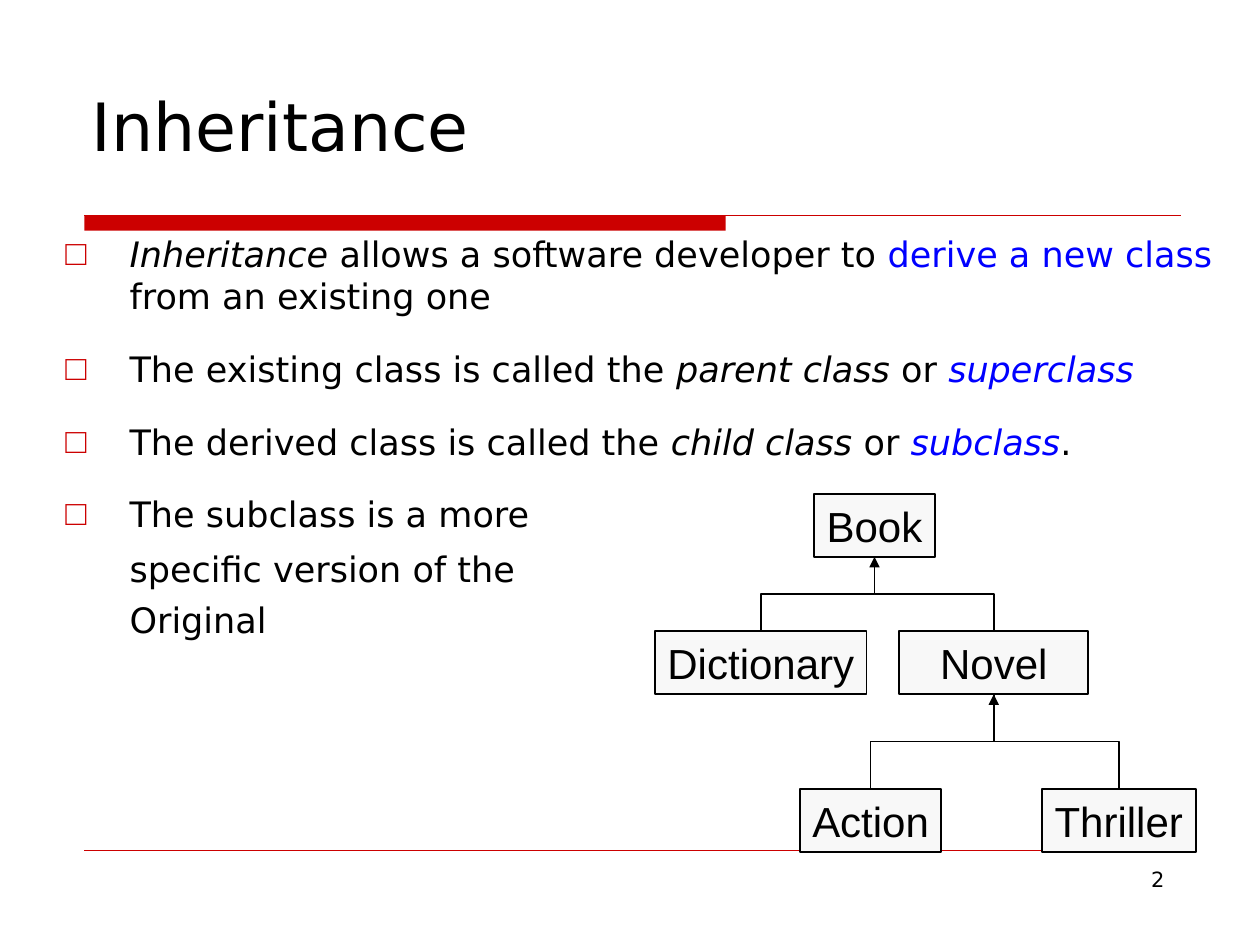
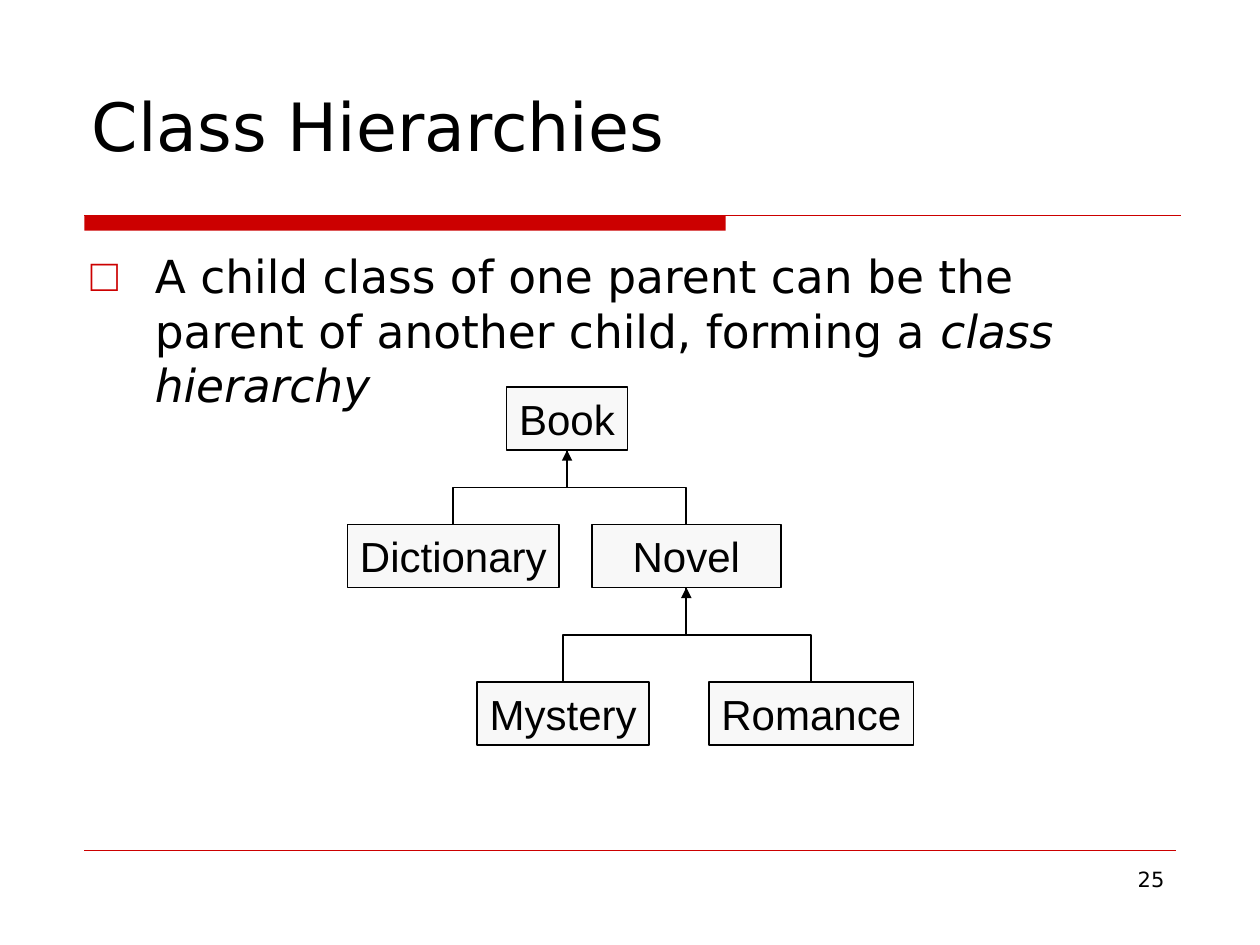
"""Build two slides on class inheritance, each with bullets and a class tree."""
import lxml.etree
import pptx
import pptx.dml.color
import pptx.enum.shapes
import pptx.enum.text
import pptx.oxml.ns
import pptx.util

Pt = pptx.util.Pt
RGBColor = pptx.dml.color.RGBColor
Shape = pptx.enum.shapes.MSO_SHAPE
Connector = pptx.enum.shapes.MSO_CONNECTOR
Align = pptx.enum.text.PP_ALIGN
Anchor = pptx.enum.text.MSO_ANCHOR
qn = pptx.oxml.ns.qn

BLACK = RGBColor(0x00, 0x00, 0x00)
RED = RGBColor(0xCC, 0x00, 0x00)
BLUE = RGBColor(0x00, 0x00, 0xFF)
NODE_GRAY = RGBColor(0xF8, 0xF8, 0xF8)

PLAIN = {}
ITALIC = {"italic": True}
ACCENT = {"color": BLUE}
TERM = {"italic": True, "color": BLUE}

BAND_LEFT, BAND_TOP = 48.24, 123.12
NODE_HEIGHT = 36
ROW_TOPS = [0, 78.5, 168.5]
BULLET_INDENT = 36.72
BULLET_FORMAT = {"space_before": Pt(17.5)}
CONTINUED_FORMAT = {"space_before": Pt(17.5), "line_spacing": 0.5}

SLIDES = [
    {
        "title": "Inheritance",
        "number": "2",
        "body_frame": (30.24, 129.6, 678.24, 385.92),
        "body_size": 20,
        "body": [
            (True, [("Inheritance", ITALIC), (" allows a software developer to ", PLAIN),
                    ("derive a new class", ACCENT), (" from an existing one", PLAIN)]),
            (True, [("The existing class is called the ", PLAIN), ("parent class", ITALIC),
                    (" or ", PLAIN), ("superclass", TERM)]),
            (True, [("The derived class is called the ", PLAIN), ("child class", ITALIC),
                    (" or ", PLAIN), ("subclass", TERM), (".", PLAIN)]),
            (True, [("The subclass is a more", PLAIN)]),
            (False, [("specific version of the", PLAIN)]),
            (False, [("Original", PLAIN)]),
        ],
        "tree_origin": (499.7, 282.3),
        "leaves": [("Action", 80.6), ("Thriller", 88)],
    },
    {
        "title": "Class Hierarchies",
        "number": "25",
        "body_frame": (44.64, 138.24, 630, 336.24),
        "body_size": 26,
        "body": [
            (True, [("A child class of one parent can be the parent of another child, "
                     "forming a ", PLAIN), ("class hierarchy", ITALIC)]),
        ],
        "tree_origin": (324, 221.3),
        "leaves": [("Mystery", 98.2), ("Romance", 116.8)],
    },
]


def add_text(page, frame, paragraphs, size, anchor=Anchor.TOP, align=Align.LEFT):
    """Add a text box of (bulleted, spans) paragraphs; None means no indent."""
    box = page.shapes.add_textbox(*map(Pt, frame))
    box.text_frame.word_wrap = True
    box.text_frame.vertical_anchor = anchor
    for index, (bulleted, spans) in enumerate(paragraphs):
        para = box.text_frame.paragraphs[0] if index == 0 else box.text_frame.add_paragraph()
        para.alignment = align
        if bulleted is not None:
            properties = para._p.get_or_add_pPr()
            properties.set("marL", str(Pt(BULLET_INDENT)))
            properties.set("indent", str(-Pt(BULLET_INDENT) if bulleted else 0))
            if bulleted:
                color = lxml.etree.SubElement(properties, qn("a:buClr"))
                lxml.etree.SubElement(color, qn("a:srgbClr"), val=str(RED))
                lxml.etree.SubElement(properties, qn("a:buFont"), typeface="Arial")
                lxml.etree.SubElement(properties, qn("a:buChar"), char="□")
            if index:
                for name, value in (BULLET_FORMAT if bulleted else CONTINUED_FORMAT).items():
                    setattr(para, name, value)
        for text, style in spans:
            span = para.add_run()
            span.text = text
            for name, value in {"name": "DejaVu Sans", "size": Pt(size),
                                "italic": style.get("italic", False)}.items():
                setattr(span.font, name, value)
            span.font.color.rgb = style.get("color", BLACK)


def add_line(page, kind, start, end, color, width):
    """Add a connector without a shadow."""
    line = page.shapes.add_connector(kind, *map(Pt, start + end))
    line.line.color.rgb = color
    line.line.width = Pt(width)
    lxml.etree.SubElement(line._element.spPr, qn("a:effectLst"))
    return line


deck = pptx.Presentation()
deck.slide_width, deck.slide_height = Pt(720), Pt(540)

for content in SLIDES:
    page = deck.slides.add_slide(deck.slide_layouts[6])

    band = page.shapes.add_shape(Shape.RECTANGLE, Pt(BAND_LEFT), Pt(BAND_TOP), Pt(366.5), Pt(8.64))
    band.shadow.inherit = False
    band.fill.solid()
    band.fill.fore_color.rgb = RED
    band.line.fill.background()
    for top, right, width in [(BAND_TOP, 674.64, 0.75), (486, 672, 0.25)]:
        add_line(page, Connector.STRAIGHT, (BAND_LEFT, top), (right, top), RED, width)

    add_text(page, (516.24, 491.76, 156.24, 37.44), [(None, [(content["number"], PLAIN)])],
             12, align=Align.RIGHT)
    add_text(page, (45.36, 23.76, 630, 95.76), [(None, [(content["title"], PLAIN)])],
             38, anchor=Anchor.MIDDLE)
    add_text(page, content["body_frame"], content["body"], content["body_size"])

    origin_x, origin_y = content["tree_origin"]
    (left_leaf, left_width), (right_leaf, right_width) = content["leaves"]
    nodes = [
        ("Book", 0, 0, 69.2, None),
        ("Dictionary", -65, 1, 121, "Book"),
        ("Novel", 68.2, 1, 108, "Book"),
        (left_leaf, -2.2, 2, left_width, "Novel"),
        (right_leaf, 139.6, 2, right_width, "Novel"),
    ]
    places = {}
    for name, offset, row, width, parent in nodes:
        center, top = origin_x + offset, origin_y + ROW_TOPS[row]
        places[name] = center, top
        node = page.shapes.add_shape(Shape.RECTANGLE, Pt(center - width / 2), Pt(top),
                                     Pt(width), Pt(NODE_HEIGHT))
        node.shadow.inherit = False
        node.fill.solid()
        node.fill.fore_color.rgb = NODE_GRAY
        node.line.color.rgb = BLACK
        node.line.width = Pt(1)
        node.text_frame.word_wrap = False
        node.text_frame.vertical_anchor = Anchor.MIDDLE
        para = node.text_frame.paragraphs[0]
        para.alignment = Align.CENTER
        span = para.add_run()
        span.text = name
        for attribute, value in {"name": "Arial", "size": Pt(24)}.items():
            setattr(span.font, attribute, value)
        span.font.color.rgb = BLACK

    for name, offset, row, width, parent in nodes[1:]:
        child_x, child_y = places[name]
        parent_x, parent_y = places[parent]
        parent_y += NODE_HEIGHT
        middle_x, middle_y = (child_x + parent_x) / 2, (child_y + parent_y) / 2
        from_left = child_x < parent_x
        half_rise = (child_y - parent_y) / 2 * (1 if from_left else -1)
        half_run = abs(child_x - parent_x) / 2
        link = add_line(page, Connector.ELBOW, (middle_x + half_rise, middle_y + half_run),
                        (middle_x - half_rise, middle_y - half_run), BLACK, 1)
        link._element.spPr.find(qn("a:xfrm")).set("rot", "5400000" if from_left else "16200000")
        if from_left:
            outline = link._element.spPr.find(qn("a:ln"))
            lxml.etree.SubElement(outline, qn("a:tailEnd"), type="triangle")

deck.save("out.pptx")
